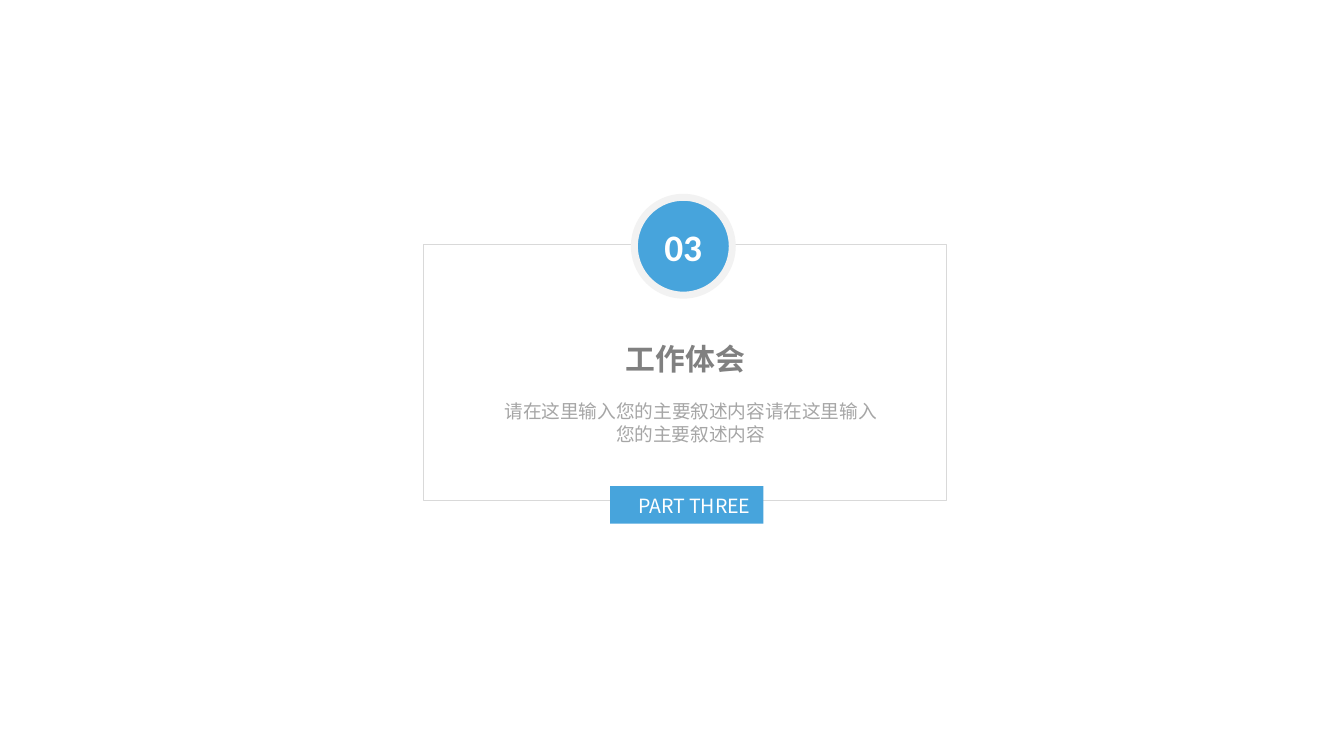
from dataclasses import dataclass

from lxml import etree
from pptx import Presentation
from pptx.dml.color import RGBColor
from pptx.enum.shapes import MSO_SHAPE
from pptx.enum.text import MSO_ANCHOR, MSO_AUTO_SIZE, PP_ALIGN
from pptx.oxml.ns import qn
from pptx.util import Cm, Pt

RECT, OVAL = MSO_SHAPE.RECTANGLE, MSO_SHAPE.OVAL
LEFT, MID = PP_ALIGN.LEFT, PP_ALIGN.CENTER
TOP, MIDDLE = MSO_ANCHOR.TOP, MSO_ANCHOR.MIDDLE
GROW, FIXED = MSO_AUTO_SIZE.SHAPE_TO_FIT_TEXT, MSO_AUTO_SIZE.NONE


@dataclass(frozen=True)
class Theme:
    blue: str = "47A4DC"
    white: str = "FFFFFF"
    ring: str = "F2F2F2"
    edge: str = "D9D9D9"
    head: str = "808080"
    body: str = "A6A6A6"
    latin: str = "Calibri"
    han: str = "Noto Sans CJK SC"
    num_size: float = 20
    head_size: float = 16
    tag_size: float = 10.5
    body_size: float = 10


THEME = Theme()


def place(shape, box):
    shape.left, shape.top, shape.width, shape.height = map(Cm, box)


def add_box(slide, kind, box, fill=None, line=None, width=0):
    shape = slide.shapes.add_shape(kind, *map(Cm, box))
    shape.shadow.inherit = False
    if fill:
        shape.fill.solid()
        shape.fill.fore_color.rgb = RGBColor.from_string(fill)
    else:
        shape.fill.background()
    if line:
        shape.line.color.rgb = RGBColor.from_string(line)
        shape.line.width = Pt(width)
    else:
        shape.line.fill.background()
    return shape


def write(shape, text, font, size, color, bold=False, align=MID,
          anchor=TOP, wrap=False, fit=GROW):
    frame = shape.text_frame
    frame.text = text
    frame.auto_size = fit
    frame.word_wrap = wrap
    frame.vertical_anchor = anchor
    par = frame.paragraphs[0]
    par.alignment = align
    run = par.runs[0]
    run.font.name = font
    run.font.size = Pt(size)
    run.font.bold = bold
    run.font.color.rgb = RGBColor.from_string(color)
    # Han glyphs take their font from a:ea, which follows a:latin
    east = etree.Element(qn("a:ea"), typeface=font)
    run.font._element.find(qn("a:latin")).addnext(east)


def add_card(slide, box, num, head, body, tag):
    """Framed section card with a number badge above and a tag below."""
    left, top, wide, high = box

    def inner(x, y, w, h):
        return left + x, top + y, w, h

    add_box(slide, RECT, box, line=THEME.edge, width=0.5)
    badge = add_box(slide, OVAL, inner(3.99, -0.89, 1.85, 1.85),
                    THEME.blue, THEME.ring, 3.75)
    write(badge, num, THEME.latin, THEME.num_size, THEME.white, True,
          anchor=MIDDLE, wrap=True, fit=FIXED)
    add_box(slide, RECT, inner(3.53, high - 0.28, 2.9, 0.71), THEME.blue)

    title = slide.shapes.title
    place(title, inner(3.56, 1.7, 2.79, 0.94))
    write(title, head, THEME.han, THEME.head_size, THEME.head, True)

    note = slide.shapes.add_textbox(*map(Cm, inner(1.19, 2.82, 7.72, 1.12)))
    write(note, body, THEME.han, THEME.body_size, THEME.body, wrap=True)

    label = slide.shapes.add_textbox(
        *map(Cm, inner(3.81, high - 0.25, 2.72, 0.71)))
    write(label, tag, THEME.han, THEME.tag_size, THEME.white, align=LEFT)


def main():
    deck = Presentation()
    deck.slide_width, deck.slide_height = Cm(25.4), Cm(14.29)
    slide = deck.slides.add_slide(deck.slide_layouts[5])
    add_card(slide, (8, 4.62, 9.88, 4.85), "03", "工作体会",
             "请在这里输入您的主要叙述内容请在这里输入您的主要叙述内容",
             "PART THREE")
    deck.save("out.pptx")


if __name__ == "__main__":
    main()
